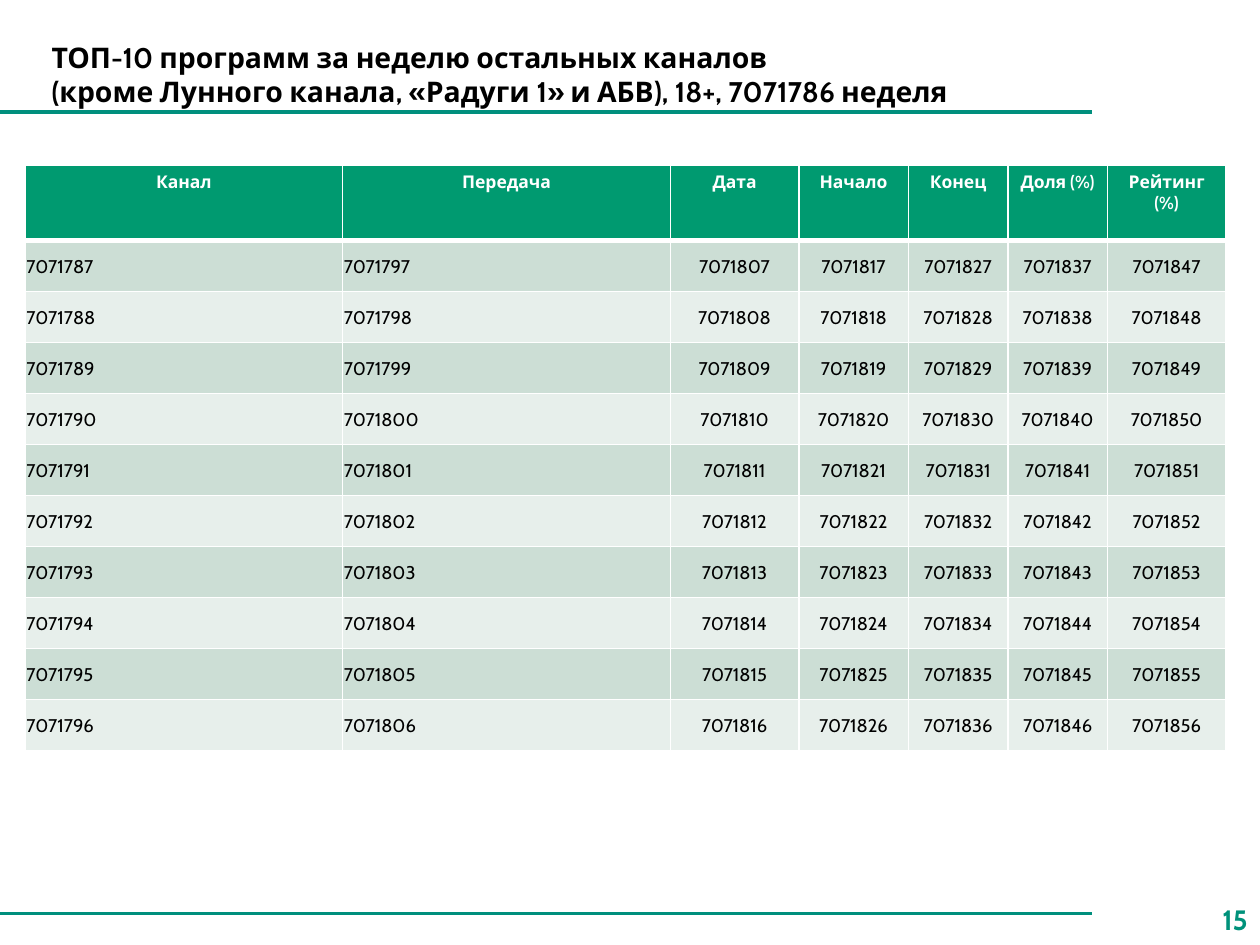
"""Build the weekly top-10 programmes slide."""
from dataclasses import dataclass

from lxml import etree
from pptx import Presentation
from pptx.dml.color import RGBColor
from pptx.enum.shapes import MSO_CONNECTOR
from pptx.enum.text import MSO_ANCHOR, MSO_AUTO_SIZE, PP_ALIGN
from pptx.oxml.ns import qn
from pptx.util import Inches, Pt

STRAIGHT = MSO_CONNECTOR.STRAIGHT
MIDDLE, TOP = MSO_ANCHOR.MIDDLE, MSO_ANCHOR.TOP
LEFT, CENTER, RIGHT = PP_ALIGN.LEFT, PP_ALIGN.CENTER, PP_ALIGN.RIGHT
NO_AUTOFIT = MSO_AUTO_SIZE.NONE


@dataclass(frozen=True)
class Theme:
    font: str = "Cabin"
    ink: str = "000000"
    white: str = "FFFFFF"
    rule: str = "008F7D"
    page: str = "00927B"
    header: str = "009A70"
    bands: tuple[str, str] = ("CCDED5", "E7EFEB")
    title_size: float = 16.2
    page_size: float = 16
    header_size: float = 10
    body_size: float = 10.5
    rule_width: float = 2
    grid_width: float = 1
    header_border: float = 3


@dataclass(frozen=True)
class Column:
    heading: str
    width: float
    align: PP_ALIGN = CENTER


@dataclass(frozen=True)
class CellStyle:
    fill: str
    color: str
    size: float
    bold: bool
    align: PP_ALIGN
    anchor: MSO_ANCHOR
    margins: tuple[float, float, float, float]
    top: float
    bottom: float


THEME = Theme()
TITLE_LINES = (
    "ТОП-10 программ за неделю остальных каналов",
    "(кроме Лунного канала, «Радуги 1» и АБВ), 18+, 7071786 неделя",
)
COLUMNS = (
    Column("Канал", 2.52, LEFT),
    Column("Передача", 2.6, LEFT),
    Column("Дата", 1.02),
    Column("Начало", 0.87),
    Column("Конец", 0.79),
    Column("Доля (%)", 0.79),
    Column("Рейтинг (%)", 0.94),
)
PROGRAMMES = 10
FIRST_VALUE = 7071787
HEADER_HEIGHT, BODY_HEIGHT = 0.6, 4.05
RULE_LEVELS = (0.89, 7.25)


def style_paragraph(paragraph, size: float, color: str, bold: bool, align: PP_ALIGN) -> None:
    """Apply the slide font and alignment to a paragraph."""
    paragraph.alignment = align
    font = paragraph.font
    font.name, font.size, font.bold = THEME.font, Pt(size), bold
    font.color.rgb = RGBColor.from_string(color)


def add_rule(slide, level: float) -> None:
    """Draw a horizontal rule from the left edge."""
    rule = slide.shapes.add_connector(
        STRAIGHT, 0, Inches(level), Inches(8.67), Inches(level))
    rule.line.color.rgb = RGBColor.from_string(THEME.rule)
    rule.line.width = Pt(THEME.rule_width)
    properties = rule._element.find(qn("p:spPr"))
    etree.SubElement(properties, qn("a:effectLst"))


def add_page_number(slide, number: int) -> None:
    """Place the page number in the lower right corner."""
    box = slide.shapes.add_textbox(Inches(9.48), Inches(7.1), Inches(0.52), Inches(0.4))
    frame = box.text_frame
    frame.word_wrap, frame.vertical_anchor = True, MIDDLE
    frame.text = str(number)
    style_paragraph(frame.paragraphs[0], THEME.page_size, THEME.page, True, RIGHT)


def format_title(title, lines: tuple[str, ...]) -> None:
    """Position the title and write its lines."""
    title.left, title.top = Inches(0.31), Inches(0.39)
    title.width, title.height = Inches(8.52), Inches(0.4)
    frame = title.text_frame
    frame.word_wrap, frame.auto_size, frame.vertical_anchor = True, NO_AUTOFIT, MIDDLE
    paragraph = frame.paragraphs[0]
    for index, line in enumerate(lines):
        if index:
            paragraph.add_line_break()
        paragraph.add_run().text = line
    style_paragraph(paragraph, THEME.title_size, THEME.ink, True, LEFT)


def add_borders(cell, top: float, bottom: float) -> None:
    """Give a cell white borders on all sides."""
    properties = cell._tc.get_or_add_tcPr()
    widths = {"lnL": THEME.grid_width, "lnR": THEME.grid_width, "lnT": top, "lnB": bottom}
    for index, (side, width) in enumerate(widths.items()):
        border = etree.Element(qn(f"a:{side}"), w=str(Pt(width)))
        fill = etree.SubElement(border, qn("a:solidFill"))
        etree.SubElement(fill, qn("a:srgbClr"), val=THEME.white)
        properties.insert(index, border)


def fill_cell(cell, text: str, style: CellStyle) -> None:
    """Write and format one table cell."""
    cell.text = text
    cell.vertical_anchor = style.anchor
    cell.margin_left, cell.margin_top, cell.margin_right, cell.margin_bottom = map(
        Inches, style.margins)
    cell.fill.solid()
    cell.fill.fore_color.rgb = RGBColor.from_string(style.fill)
    style_paragraph(
        cell.text_frame.paragraphs[0], style.size, style.color, style.bold, style.align)
    add_borders(cell, style.top, style.bottom)


def body_style(row: int, align: PP_ALIGN) -> CellStyle:
    """Return the banded style of a programme row."""
    top = THEME.grid_width if row else THEME.header_border
    return CellStyle(THEME.bands[row % 2], THEME.ink, THEME.body_size, False, align,
                     MIDDLE, (0.01, 0.01, 0.01, 0), top, THEME.grid_width)


def add_ratings_table(slide) -> None:
    """Add the table of programmes, numbered down each column."""
    width = sum(column.width for column in COLUMNS)
    table = slide.shapes.add_table(
        PROGRAMMES + 1, len(COLUMNS), Inches(0.2), Inches(1.31),
        Inches(width), Inches(HEADER_HEIGHT + BODY_HEIGHT)).table
    table.rows[0].height = Inches(HEADER_HEIGHT)
    for row in range(PROGRAMMES):
        table.rows[row + 1].height = Inches(BODY_HEIGHT / PROGRAMMES)
    heading_style = CellStyle(
        THEME.header, THEME.white, THEME.header_size, True, CENTER, TOP,
        (0.08, 0.05, 0.08, 0.05), THEME.grid_width, THEME.header_border)
    for index, column in enumerate(COLUMNS):
        table.columns[index].width = Inches(column.width)
        fill_cell(table.cell(0, index), column.heading, heading_style)
        for row in range(PROGRAMMES):
            value = FIRST_VALUE + index * PROGRAMMES + row
            fill_cell(table.cell(row + 1, index), str(value), body_style(row, column.align))


def main() -> None:
    """Build and save the presentation."""
    presentation = Presentation()
    presentation.slide_width, presentation.slide_height = Inches(10), Inches(7.5)
    slide = presentation.slides.add_slide(presentation.slide_layouts[5])
    for level in RULE_LEVELS:
        add_rule(slide, level)
    add_page_number(slide, 15)
    format_title(slide.shapes.title, TITLE_LINES)
    add_ratings_table(slide)
    presentation.save("out.pptx")


if __name__ == "__main__":
    main()
